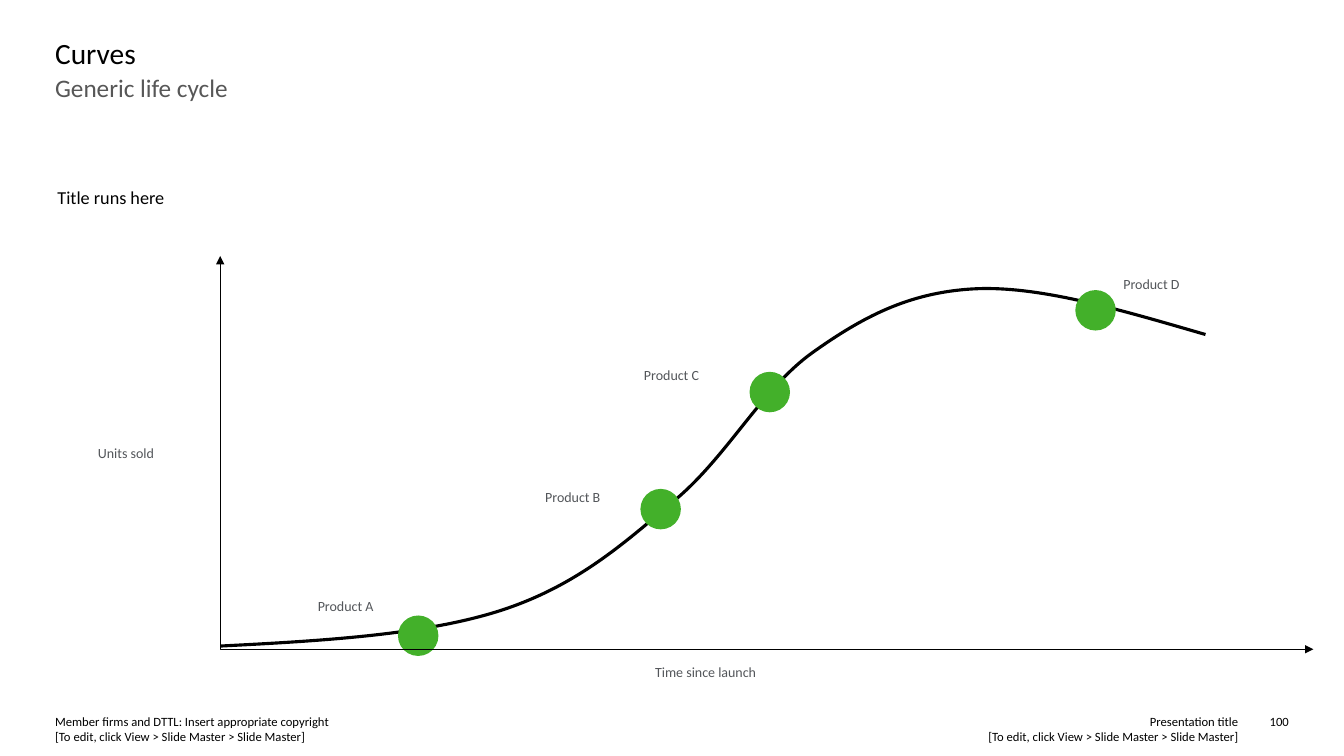
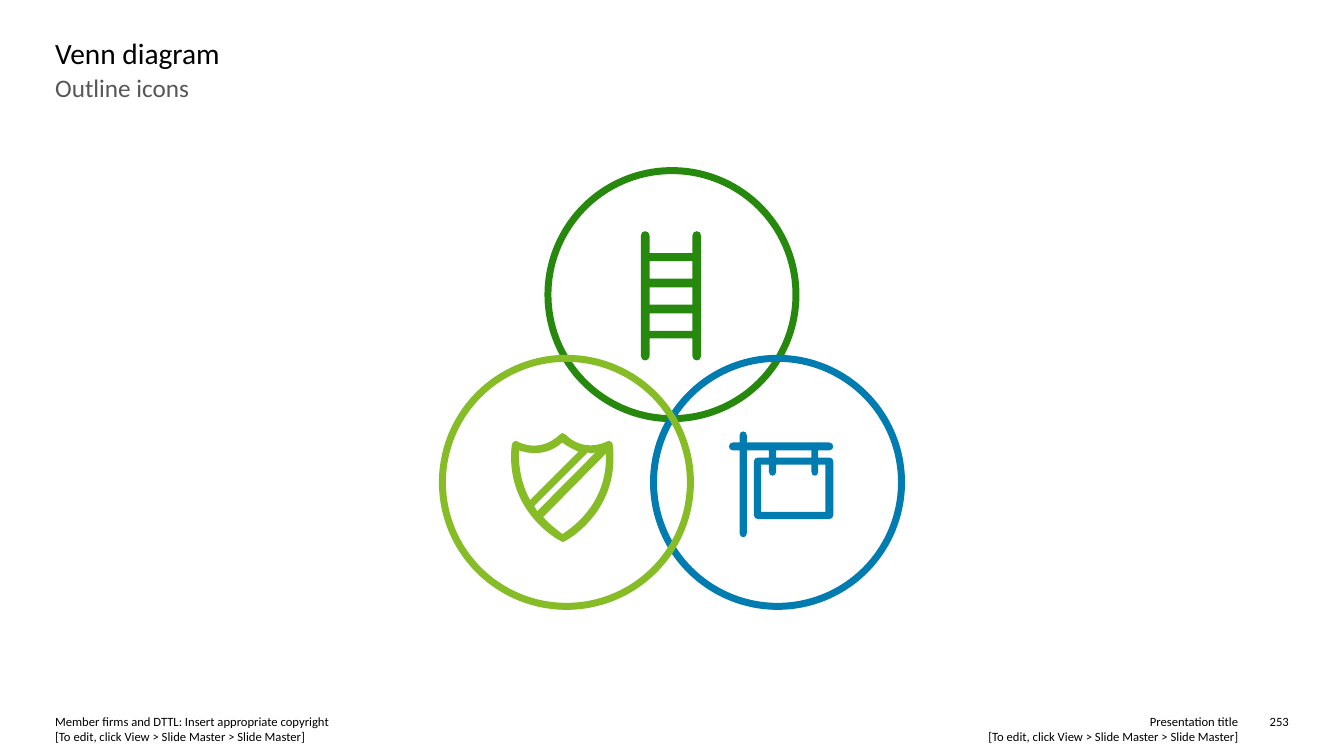
from dataclasses import dataclass

import lxml.etree
import pptx
import pptx.dml.color
import pptx.enum.shapes
import pptx.enum.text
import pptx.oxml.ns
import pptx.util

Cm = pptx.util.Cm
Pt = pptx.util.Pt
qn = pptx.oxml.ns.qn
Color = pptx.dml.color.RGBColor.from_string
Shape = pptx.enum.shapes.MSO_SHAPE
Align = pptx.enum.text.PP_ALIGN
Anchor = pptx.enum.text.MSO_ANCHOR


@dataclass(frozen=True)
class Theme:
    font: str = "Calibri"
    black: str = "000000"
    subtitle_grey: str = "575757"
    label_grey: str = "53565A"
    marker_green: str = "43B02A"
    dark_green: str = "26890D"
    light_green: str = "86BC25"
    blue: str = "007CB0"
    title_size: int = 21
    subtitle_size: int = 18
    heading_size: int = 13
    label_size: int = 10
    footer_size: int = 9
    axis_width: float = 0.5
    curve_width: float = 2.25
    circle_width: float = 5


theme = Theme()


def add_text(slide, text, left, top, width, height, size,
             color=theme.black, align=Align.LEFT, anchor=Anchor.TOP):
    """Add a one-paragraph text box without margins; newlines become line breaks."""
    box = slide.shapes.add_textbox(Cm(left), Cm(top), Cm(width), Cm(height))
    frame = box.text_frame
    frame.word_wrap = True
    frame.vertical_anchor = anchor
    frame.margin_left = frame.margin_right = 0
    frame.margin_top = frame.margin_bottom = 0
    paragraph = frame.paragraphs[0]
    paragraph.text = text
    paragraph.alignment = align
    for run in paragraph.runs:
        run.font.name = theme.font
        run.font.size = Pt(size)
        run.font.color.rgb = Color(color)
    for line_break in box.element.iter(qn("a:br")):
        lxml.etree.SubElement(line_break, qn("a:rPr"), sz=str(size * 100))


def add_freeform(slide, contours, fill=None, line=None, width=0):
    """Draw contours; after its start, a point is a line and a list of three a curve."""
    builder = None
    for start, *segments in contours:
        start = [Cm(value) for value in start]
        if builder is None:
            builder = slide.shapes.build_freeform(*start)
        else:
            builder.move_to(*start)
        points = []
        for segment in segments:
            points += segment if isinstance(segment, list) else [segment]
        builder.add_line_segments([(Cm(x), Cm(y)) for x, y in points],
                                  close=fill is not None)
    shape = builder.convert_to_shape()
    shape.shadow.inherit = False

    steps = iter(list(shape.element.iter(qn("a:lnTo"))))
    for start, *segments in contours:
        for segment in segments:
            step = next(steps)
            if isinstance(segment, list):
                curve = lxml.etree.Element(qn("a:cubicBezTo"))
                step.addprevious(curve)
                for part in (step, next(steps), next(steps)):
                    curve.append(part[0])
                    part.getparent().remove(part)

    if fill:
        shape.fill.solid()
        shape.fill.fore_color.rgb = Color(fill)
    else:
        shape.fill.background()
    if line:
        shape.line.color.rgb = Color(line)
        shape.line.width = Pt(width)
    else:
        shape.line.fill.background()
    return shape


presentation = pptx.Presentation()
presentation.slide_width = Cm(33.87)
presentation.slide_height = Cm(19.05)

# Title, subtitle and footers of every slide
edit_hint = "[To edit, click View > Slide Master > Slide Master]"
slides = []
for title, subtitle, number in [
    ("Curves", "Generic life cycle", "100"),
    ("Venn diagram", "Outline icons", "253"),
]:
    slide = presentation.slides.add_slide(presentation.slide_layouts[6])
    slides.append(slide)
    for text, left, width, height, align in [
        (f"Presentation title\n{edit_hint}", 17.61, 13.59, 0.76, Align.RIGHT),
        (f"Member firms and DTTL: Insert appropriate copyright\n{edit_hint}",
         1.39, 14.88, 0.76, Align.LEFT),
        (number, 31.62, 0.86, 0.38, Align.RIGHT),
    ]:
        add_text(slide, text, left, 17.98, width, height, theme.footer_size, align=align)
    add_text(slide, subtitle, 1.39, 1.82, 31.09, 2.11, theme.subtitle_size,
             color=theme.subtitle_grey)
    add_text(slide, title, 1.39, 0.89, 31.09, 0.94, theme.title_size)
curve_slide, venn_slide = slides

# Life cycle curve
add_freeform(curve_slide, [[
    (5.56, 16.28),
    [(8.13, 16.15), (10.69, 16), (12.6, 15.39)],
    [(14.5, 14.78), (15.7, 13.72), (16.99, 12.62)],
    [(18.31, 11.53), (19.2, 9.8), (20.47, 8.89)],
    [(21.72, 8), (22.89, 7.37), (24.54, 7.28)],
    [(26.19, 7.19), (28.27, 7.82), (30.38, 8.43)],
]], line=theme.black, width=theme.curve_width)

for left, top in [(10.03, 15.51), (16.14, 12.32), (18.89, 9.37), (27.1, 7.31)]:
    marker = curve_slide.shapes.add_shape(
        Shape.FLOWCHART_CONNECTOR, Cm(left), Cm(top), Cm(1.02), Cm(1.02))
    marker.shadow.inherit = False
    marker.fill.solid()
    marker.fill.fore_color.rgb = Color(theme.marker_green)
    marker.line.fill.background()

for text, left, top, width, align in [
    ("Units sold", 1.83, 11.2, 2.69, Align.CENTER),
    ("Time since launch", 16.51, 16.71, 4.85, Align.LEFT),
    ("Product A", 8.01, 15.06, 2.67, Align.LEFT),
    ("Product B", 13.74, 12.31, 2.67, Align.LEFT),
    ("Product C", 16.23, 9.24, 2.67, Align.LEFT),
    ("Product D", 28.31, 6.93, 2.67, Align.LEFT),
]:
    add_text(curve_slide, text, left, top, width, 0.43, theme.label_size,
             color=theme.label_grey, align=align, anchor=Anchor.MIDDLE)

axes = add_freeform(curve_slide, [[(5.55, 6.45), (5.55, 16.36), (33.1, 16.36)]],
                    line=theme.black, width=theme.axis_width)
axes_line = axes.element.spPr.find(qn("a:ln"))
for end in ("a:headEnd", "a:tailEnd"):
    lxml.etree.SubElement(axes_line, qn(end), type="triangle")

add_text(curve_slide, "Title runs here", 1.45, 4.7, 23.19, 0.56, theme.heading_size)

# Venn circles
for left, top, color in [
    (13.81, 4.3, theme.dark_green),
    (13.81 + 2.66, 9.03, theme.blue),
    (13.81 - 2.66, 9.03, theme.light_green),
]:
    circle = venn_slide.shapes.add_shape(
        Shape.OVAL, Cm(left), Cm(top), Cm(6.25), Cm(6.25))
    circle.shadow.inherit = False
    circle.fill.background()
    circle.line.color.rgb = Color(color)
    circle.line.width = Pt(theme.circle_width)

# Icons: each is an outer contour followed by its openings
sign = [
    [(20.9, 11.53), (20.62, 11.53), (20.62, 11.35), (20.9, 11.35),
     [(21.03, 11.35), (21.03, 11.15), (20.9, 11.15)],
     (18.82, 11.15), (18.82, 10.97),
     [(18.82, 10.84), (18.64, 10.84), (18.64, 10.97)],
     (18.64, 11.15), (18.47, 11.15),
     [(18.34, 11.15), (18.34, 11.35), (18.47, 11.35)],
     (18.64, 11.35), (18.64, 13.44),
     [(18.64, 13.57), (18.82, 13.57), (18.82, 13.44)],
     (18.82, 11.35), (19.38, 11.35), (19.38, 11.53), (19.1, 11.53),
     [(19.04, 11.53), (19, 11.57), (19, 11.63)],
     (19, 12.98),
     [(19, 13.04), (19.04, 13.08), (19.1, 13.08)],
     (20.9, 13.08),
     [(20.96, 13.08), (21, 13.04), (21, 12.98)],
     (21, 11.63),
     [(21, 11.57), (20.96, 11.53), (20.9, 11.53)]],
    [(19.56, 11.35), (20.45, 11.35), (20.45, 11.53), (19.56, 11.53)],
    [(20.8, 12.9), (19.18, 12.9), (19.18, 11.71), (19.38, 11.71), (19.38, 11.89),
     [(19.38, 12.02), (19.56, 12.02), (19.56, 11.89)],
     (19.56, 11.71), (20.45, 11.71), (20.45, 11.89),
     [(20.45, 12.02), (20.62, 12.02), (20.62, 11.89)],
     (20.62, 11.71), (20.8, 11.71)],
]

ladder = [
    [(17.67, 5.94),
     [(17.67, 5.79), (17.45, 5.79), (17.45, 5.94)],
     (17.45, 6.38), (16.37, 6.38), (16.37, 5.94),
     [(16.37, 5.79), (16.15, 5.79), (16.15, 5.94)],
     (16.15, 8.97),
     [(16.15, 9.12), (16.37, 9.12), (16.37, 8.97)],
     (16.37, 8.53), (17.45, 8.53), (17.45, 8.97),
     [(17.45, 9.12), (17.67, 9.12), (17.67, 8.97)]],
]
for gap in range(3):
    top = 6.58 + 0.66 * gap
    ladder.append([(16.37, top), (17.45, top), (17.45, top + 0.44), (16.37, top + 0.44)])

shield = [
    [(15.44, 11.2),
     [(15.44, 11.18), (15.44, 11.15), (15.39, 11.13)],
     [(15.37, 11.1), (15.34, 11.1), (15.29, 11.13)],
     [(15.29, 11.13), (14.73, 11.43), (14.25, 10.95)],
     [(14.2, 10.9), (14.15, 10.9), (14.11, 10.95)],
     [(13.61, 11.43), (13.08, 11.15), (13.05, 11.13)],
     [(13.03, 11.1), (12.98, 11.1), (12.95, 11.13)],
     [(12.93, 11.15), (12.9, 11.18), (12.9, 11.2)],
     [(12.7, 12.9), (14.12, 13.64), (14.15, 13.64)],
     [(14.16, 13.67), (14.2, 13.67), (14.22, 13.64)],
     [(14.25, 13.64), (15.65, 12.9), (15.44, 11.2)]],
    [(15.01, 11.4), (13.54, 12.88),
     [(13.51, 12.83), (13.49, 12.8), (13.46, 12.75)],
     (14.81, 11.4),
     [(14.86, 11.43), (14.94, 11.43), (15.01, 11.4)]],
    [(13.08, 11.35),
     [(13.31, 11.43), (13.77, 11.51), (14.17, 11.15)],
     [(14.3, 11.25), (14.45, 11.33), (14.58, 11.38)],
     (13.36, 12.6),
     [(13.18, 12.27), (13.06, 11.86), (13.08, 11.35)]],
    [(14.17, 13.46),
     [(14.1, 13.39), (13.89, 13.26), (13.69, 13.03)],
     (15.27, 11.43),
     [(15.32, 12.7), (14.4, 13.31), (14.17, 13.46)]],
]

for icon, color in [
    (sign, theme.blue),
    (ladder, theme.dark_green),
    (shield, theme.light_green),
]:
    add_freeform(venn_slide, icon, fill=color)

presentation.save("out.pptx")
